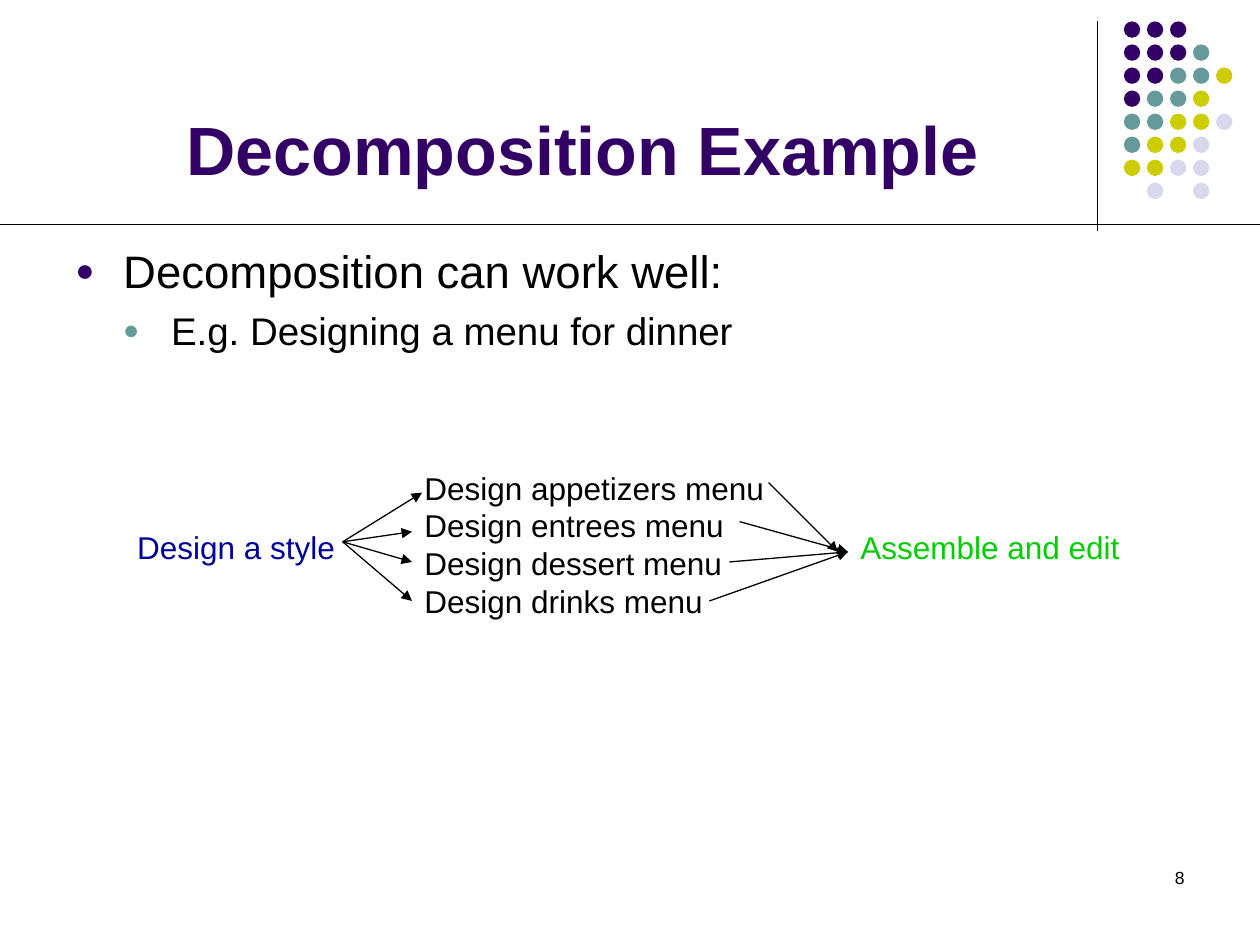
"""Build the "Decomposition Example" slide with its menu design diagram."""
from lxml.etree import SubElement
from pptx import Presentation
from pptx.dml.color import RGBColor
from pptx.enum.shapes import MSO_CONNECTOR, MSO_SHAPE
from pptx.enum.text import MSO_ANCHOR, MSO_AUTO_SIZE, PP_ALIGN
from pptx.oxml.ns import qn
from pptx.util import Inches, Pt

COLORS = {
    "purple": "330066",
    "teal": "669999",
    "olive": "CCCC00",
    "lavender": "D8D8EC",
    "black": "000000",
    "blue": "000099",
    "green": "00CC00",
}


def write_text(frame, text, size, color="black", bold=False, align=PP_ALIGN.LEFT,
               before=0, bullet=None, level=0, anchor=MSO_ANCHOR.TOP):
    frame.word_wrap = True
    frame.auto_size = MSO_AUTO_SIZE.NONE
    frame.vertical_anchor = anchor
    for line in text.split("\n"):
        paragraph = frame.add_paragraph() if frame.text else frame.paragraphs[0]
        paragraph.alignment = align
        paragraph.level = level
        paragraph.space_before = Pt(before)
        run = paragraph.add_run()
        run.text = line
        run.font.name = "Arial"
        run.font.size = Pt(size)
        run.font.bold = bold
        run.font.color.rgb = RGBColor.from_string(COLORS[color])
        if bullet:
            properties = paragraph._p.get_or_add_pPr()
            properties.set("marL", str(Inches(0.38 * (level + 1))))
            properties.set("indent", str(Inches(-0.38)))
            bullet_color = SubElement(properties, qn("a:buClr"))
            SubElement(bullet_color, qn("a:srgbClr"), val=COLORS[bullet])
            SubElement(properties, qn("a:buSzPct"), val="70000")
            SubElement(properties, qn("a:buFont"), typeface="Arial")
            SubElement(properties, qn("a:buChar"), char="●")


def draw_line(slide, start, end, arrow=False):
    points = [Inches(value) for value in (*start, *end)]
    connector = slide.shapes.add_connector(MSO_CONNECTOR.STRAIGHT, *points)
    connector.line.color.rgb = RGBColor.from_string(COLORS["black"])
    connector.line.width = Pt(0.75)
    if arrow:
        SubElement(connector.line._get_or_add_ln(), qn("a:tailEnd"), type="triangle")
    SubElement(connector._element.spPr, qn("a:effectLst"))


presentation = Presentation()
presentation.slide_width = Inches(10)
presentation.slide_height = Inches(7.5)
slide = presentation.slides.add_slide(presentation.slide_layouts[5])

draw_line(slide, (8.71, 0.17), (8.71, 1.83))
draw_line(slide, (0, 1.78), (10, 1.78))

DOT_COLORS = {"P": "purple", "T": "teal", "O": "olive", "L": "lavender"}
DOT_ROWS = ["PPP", "PPPT", "PPTTO", "PTTO", "TTOOL", "TOOL", "OOLL", " L L"]
DOT_PITCH = 1.28 / 7
for row, dots in enumerate(DOT_ROWS):
    for column, dot in enumerate(dots):
        if dot in DOT_COLORS:
            shape = slide.shapes.add_shape(
                MSO_SHAPE.OVAL, Inches(8.92 + DOT_PITCH * column),
                Inches(0.17 + DOT_PITCH * row), Inches(0.13), Inches(0.13))
            shape.shadow.inherit = False
            shape.fill.solid()
            shape.fill.fore_color.rgb = RGBColor.from_string(COLORS[DOT_COLORS[dot]])
            shape.line.fill.background()

title = slide.shapes.title
title.left, title.top = Inches(0.5), Inches(0.13)
title.width, title.height = Inches(8.25), Inches(1.42)
write_text(title.text_frame, "Decomposition Example", size=39, color="purple", bold=True,
           align=PP_ALIGN.CENTER, anchor=MSO_ANCHOR.BOTTOM)

body = slide.shapes.add_textbox(Inches(0.5), Inches(1.88), Inches(9), Inches(4.82))
write_text(body.text_frame, "Decomposition can work well:", size=26, before=6.5,
           bullet="purple")
write_text(body.text_frame, "E.g. Designing a menu for dinner", size=22, before=5.5,
           bullet="teal", level=1)

MENU_TASKS = "\n".join(
    f"Design {course} menu" for course in ("appetizers", "entrees", "dessert", "drinks"))
STEPS = [
    ("Design a style", "blue", 0.99, 4.14, 1.85, 0.4),
    (MENU_TASKS, "black", 3.27, 3.67, 3, 1.3),
    ("Assemble and edit", "green", 6.73, 4.14, 2.4, 0.4),
]
for text, color, *box in STEPS:
    step = slide.shapes.add_textbox(*[Inches(value) for value in box])
    write_text(step.text_frame, text, size=18, color=color)

for end in [(3.35, 3.91), (3.27, 4.22), (3.27, 4.46), (3.27, 4.77)]:
    draw_line(slide, (2.72, 4.3), end, arrow=True)
draw_line(slide, (6.1, 3.83), (6.65, 4.38), arrow=True)
for start in [(5.87, 4.14), (5.79, 4.46), (5.63, 4.77)]:
    draw_line(slide, start, (6.73, 4.38), arrow=True)

page_number = slide.shapes.add_textbox(Inches(7.17), Inches(6.83), Inches(2.33), Inches(0.5))
write_text(page_number.text_frame, "8", size=10, align=PP_ALIGN.RIGHT)

presentation.save("out.pptx")
